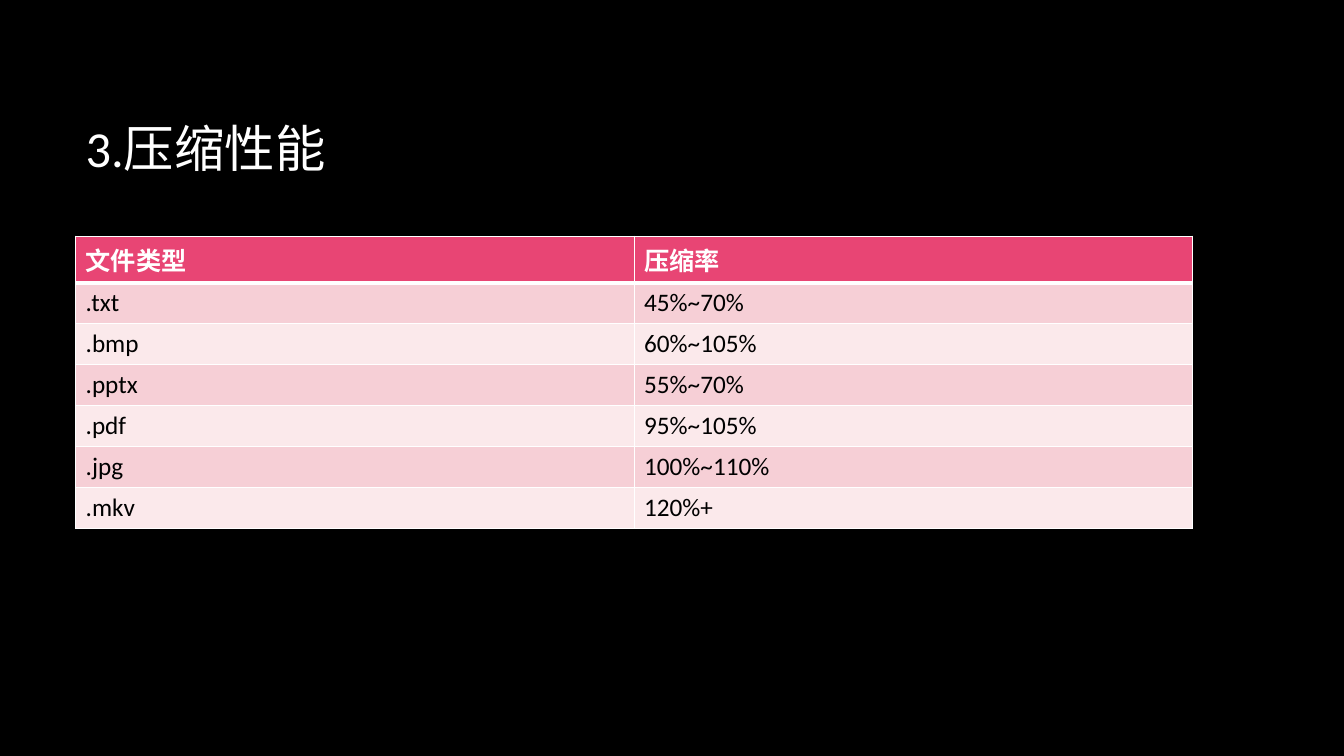
"""Build the compression performance slide."""
from dataclasses import dataclass

from lxml.etree import SubElement
from pptx import Presentation
from pptx.dml.color import RGBColor
from pptx.enum.text import MSO_ANCHOR, PP_ALIGN
from pptx.oxml import parse_xml
from pptx.oxml.ns import nsdecls, qn
from pptx.slide import Slide
from pptx.table import _Cell
from pptx.text.text import TextFrame
from pptx.util import Emu, Pt


@dataclass(frozen=True)
class Theme:
    font: str = "Calibri"
    background: str = "000000"
    light: str = "FFFFFF"
    dark: str = "000000"
    header: str = "E84574"
    bands: tuple[str, str] = ("F6CFD6", "FBE9EB")
    title_size: int = 36
    table_size: int = 18
    border: int = 1
    header_border: int = 3


@dataclass(frozen=True)
class Box:
    left: int
    top: int
    width: int
    height: int

    def emu(self) -> tuple[Emu, ...]:
        return tuple(px(n) for n in (self.left, self.top, self.width, self.height))


@dataclass(frozen=True)
class Result:
    file_type: str
    ratio: str


THEME = Theme()
EMU_PER_PX = 9525
ROW_HEIGHT = 39
HEADER = Result("文件类型", "压缩率")
RESULTS = [
    Result(".txt", "45%~70%"),
    Result(".bmp", "60%~105%"),
    Result(".pptx", "55%~70%"),
    Result(".pdf", "95%~105%"),
    Result(".jpg", "100%~110%"),
    Result(".mkv", "120%+"),
]
TITLE_BOX = Box(72, 64, 1064, 153)
TABLE_BOX = Box(72, 225, 1064, ROW_HEIGHT * (len(RESULTS) + 1))


def px(n: int) -> Emu:
    return Emu(n * EMU_PER_PX)


def write(tf: TextFrame, text: str, size: int, color: str, bold: bool = False) -> None:
    tf.text = text
    p = tf.paragraphs[0]
    p.alignment = PP_ALIGN.LEFT
    p.font.name = THEME.font
    p.font.size = Pt(size)
    p.font.bold = bold
    p.font.color.rgb = RGBColor.from_string(color)


def set_borders(cell: _Cell, top: int, bottom: int) -> None:
    tc_pr = cell._tc.get_or_add_tcPr()
    sides = {"lnL": THEME.border, "lnR": THEME.border, "lnT": top, "lnB": bottom}
    for i, (tag, width) in enumerate(sides.items()):
        ln = parse_xml(f'<a:{tag} {nsdecls("a")} w="{Pt(width)}"/>')
        fill = SubElement(ln, qn("a:solidFill"))
        SubElement(fill, qn("a:srgbClr")).set("val", THEME.light)
        tc_pr.insert(i, ln)


def add_title(s: Slide, text: str) -> None:
    sp = s.shapes.title
    sp.left, sp.top, sp.width, sp.height = TITLE_BOX.emu()
    sp.text_frame.vertical_anchor = MSO_ANCHOR.MIDDLE
    write(sp.text_frame, text, THEME.title_size, THEME.light)


def add_results(s: Slide, results: list[Result]) -> None:
    rows = [HEADER, *results]
    table = s.shapes.add_table(len(rows), 2, *TABLE_BOX.emu()).table
    for i, row in enumerate(rows):
        table.rows[i].height = px(ROW_HEIGHT)
        is_header = i == 0
        fill = THEME.header if is_header else THEME.bands[(i - 1) % 2]
        color = THEME.light if is_header else THEME.dark
        top = THEME.header_border if i == 1 else THEME.border
        bottom = THEME.header_border if is_header else THEME.border
        for cell, text in zip(table.rows[i].cells, (row.file_type, row.ratio)):
            cell.fill.solid()
            cell.fill.fore_color.rgb = RGBColor.from_string(fill)
            set_borders(cell, top, bottom)
            write(cell.text_frame, text, THEME.table_size, color, is_header)


def main() -> None:
    prs = Presentation()
    prs.slide_width, prs.slide_height = px(1280), px(720)
    s = prs.slides.add_slide(prs.slide_layouts[5])
    s.background.fill.solid()
    s.background.fill.fore_color.rgb = RGBColor.from_string(THEME.background)
    add_title(s, "3.压缩性能")
    add_results(s, RESULTS)
    prs.save("out.pptx")


if __name__ == "__main__":
    main()
